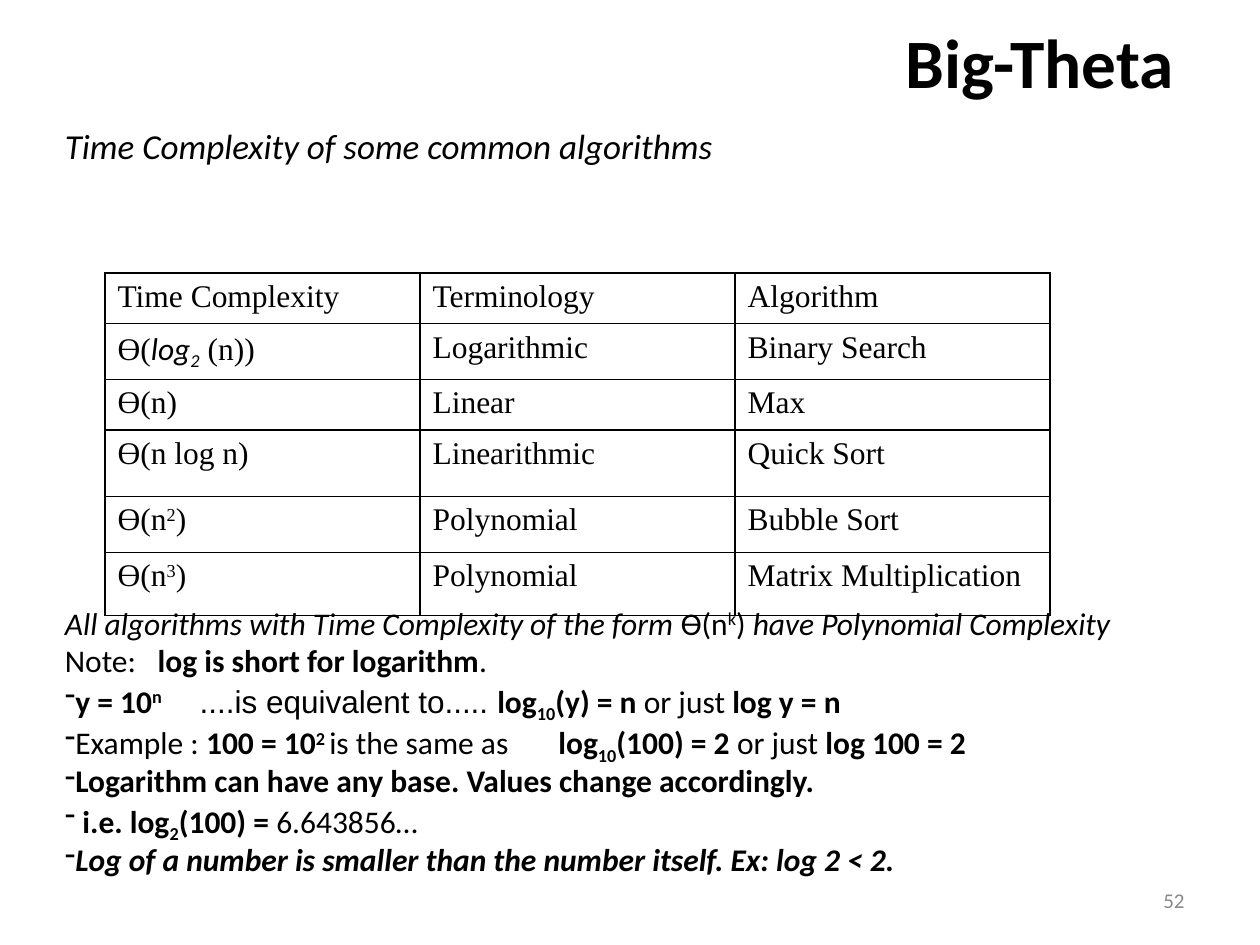
import pptx
import pptx.dml.color
import pptx.enum.text
import pptx.oxml
import pptx.oxml.ns
import pptx.util

Pt = pptx.util.Pt
ALIGN = pptx.enum.text.PP_ALIGN
ANCHOR = pptx.enum.text.MSO_ANCHOR
BLACK = pptx.dml.color.RGBColor(0x00, 0x00, 0x00)
GREY = pptx.dml.color.RGBColor(0x89, 0x89, 0x89)
NAMESPACE = pptx.oxml.ns.nsdecls("a")

BODY = {"name": "Calibri", "size": Pt(18), "bold": False, "italic": False}
CELL = {**BODY, "name": "Times New Roman"}
BOLD = {"bold": True}
ITALIC = {"italic": True}
SUPER = {"baseline": 30000}
SUB = {"baseline": -25000}
BOLD_SUPER = {**BOLD, **SUPER}
BOLD_SUB = {**BOLD, **SUB}
LOG = {"name": "Calibri", "italic": True}

# Spans are (text, format values that differ from the base)
COMPLEXITIES = [
    ([("Time Complexity", {})], "Terminology", "Algorithm"),
    ([("ϴ(", {}), ("log", LOG), ("2", {**LOG, **SUB}), (" (n))", {})],
     "Logarithmic", "Binary Search"),
    ([("ϴ(n)", {})], "Linear", "Max"),
    ([("ϴ(n log n)", {})], "Linearithmic", "Quick Sort"),
    ([("ϴ(n", {}), ("2", SUPER), (")", {})], "Polynomial", "Bubble Sort"),
    ([("ϴ(n", {}), ("3", SUPER), (")", {})], "Polynomial", "Matrix Multiplication"),
]
ROW_HEIGHTS = [29, 29, 29, 38, 32, 36]

# Each paragraph: spans, then paragraph options
PARAGRAPHS = [
    ([("Time Complexity of some common algorithms", {**ITALIC, "size": Pt(20)})], {}),
    ([("All algorithms with Time Complexity of the form ", ITALIC), ("ϴ(n", {}),
      ("k", SUPER), (") ", {}), ("have Polynomial Complexity", ITALIC)],
     {"before": 254}),
    ([("Note:\t", {}), ("log is short for logarithm", BOLD), (".", {})], {"tab": 53}),
    ([("y = 10", BOLD), ("n", BOLD_SUPER),
      ("\t....is equivalent to..... ", {"name": "Arial"}),
      ("log", BOLD), ("10", BOLD_SUB), ("(y) = n ", BOLD), ("or just ", {}),
      ("log y = n", BOLD)], {"bullet": True, "tab": 77}),
    ([("Example : ", {}), ("100 = 10", BOLD), ("2 ", BOLD_SUPER),
      ("is the same as\t", {}), ("log", BOLD), ("10", BOLD_SUB),
      ("(100) = 2 ", BOLD), ("or just ", {}), ("log 100 = 2", BOLD)],
     {"bullet": True, "tab": 282}),
    ([("Logarithm can have any base. Values change accordingly.", BOLD)],
     {"bullet": True}),
    ([(" i.e. log", BOLD), ("2", BOLD_SUB), ("(100) =", BOLD), (" 6.643856…", {})],
     {"bullet": True}),
    ([("Log of a number is smaller than the number itself. Ex: log 2 < 2.",
       {**BOLD, **ITALIC})], {"bullet": True}),
]


def add_spans(para, spans, base, color=BLACK):
    for text, changes in spans:
        span = para.add_run()
        span.text = text
        span.font.color.rgb = color
        for name, value in {**base, **changes}.items():
            if name == "baseline":
                span._r.get_or_add_rPr().set(name, str(value))
            else:
                setattr(span.font, name, value)


def add_box(page, left, top, width, height):
    box = page.shapes.add_textbox(Pt(left), Pt(top), Pt(width), Pt(height))
    box.text_frame.word_wrap = True
    return box.text_frame


def set_title(page, text):
    title = page.shapes.title
    place = {"left": Pt(480), "top": Pt(6), "width": Pt(228), "height": Pt(57)}
    for name, value in place.items():
        setattr(title, name, value)
    frame = title.text_frame
    frame.vertical_anchor = ANCHOR.MIDDLE
    frame.paragraphs[0].alignment = ALIGN.CENTER
    add_spans(frame.paragraphs[0], [(text, BOLD)], {**BODY, "size": Pt(39.6)})


def add_body(page):
    frame = add_box(page, 30, 48, 660, 463)
    frame.margin_top = Pt(28)
    for index, (spans, options) in enumerate(PARAGRAPHS):
        para = frame.add_paragraph() if index else frame.paragraphs[0]
        para.line_spacing = 0.8
        para.space_before = Pt(options.get("before", 4))
        add_spans(para, spans, BODY)
        properties = para._p.get_or_add_pPr()
        if "bullet" in options:
            properties.set("marL", "0")
            properties.set("indent", "0")
            properties.append(pptx.oxml.parse_xml(f'<a:buChar {NAMESPACE} char="-"/>'))
        if "tab" in options:
            properties.append(pptx.oxml.parse_xml(
                f'<a:tabLst {NAMESPACE}><a:tab pos="{Pt(options["tab"])}" algn="l"/>'
                "</a:tabLst>"))


def add_borders(cell):
    properties = cell._tc.get_or_add_tcPr()
    for index, side in enumerate(("lnL", "lnR", "lnT", "lnB")):
        properties.insert(index, pptx.oxml.parse_xml(
            f'<a:{side} {NAMESPACE} w="{Pt(1)}"><a:solidFill>'
            f'<a:srgbClr val="{BLACK}"/></a:solidFill></a:{side}>'))


def add_complexity_table(page):
    table = page.shapes.add_table(len(COMPLEXITIES), 3, Pt(60), Pt(156),
                                  Pt(540), Pt(sum(ROW_HEIGHTS))).table
    for row, height, values in zip(table.rows, ROW_HEIGHTS, COMPLEXITIES):
        row.height = Pt(height)
        complexity, terminology, algorithm = values
        contents = [complexity, [(terminology, {})], [(algorithm, {})]]
        for cell, spans in zip(row.cells, contents):
            cell.fill.background()
            add_borders(cell)
            add_spans(cell.text_frame.paragraphs[0], spans, CELL)


def add_page_number(page, number):
    frame = add_box(page, 516, 500, 168, 29)
    frame.vertical_anchor = ANCHOR.MIDDLE
    frame.paragraphs[0].alignment = ALIGN.RIGHT
    add_spans(frame.paragraphs[0], [(number, {})], {**BODY, "size": Pt(12)}, GREY)


def main():
    deck = pptx.Presentation()
    deck.slide_width, deck.slide_height = Pt(720), Pt(540)
    page = deck.slides.add_slide(deck.slide_layouts[5])  # title only
    set_title(page, "Big-Theta")
    add_body(page)
    add_complexity_table(page)
    add_page_number(page, "52")
    deck.save("out.pptx")


if __name__ == "__main__":
    main()
